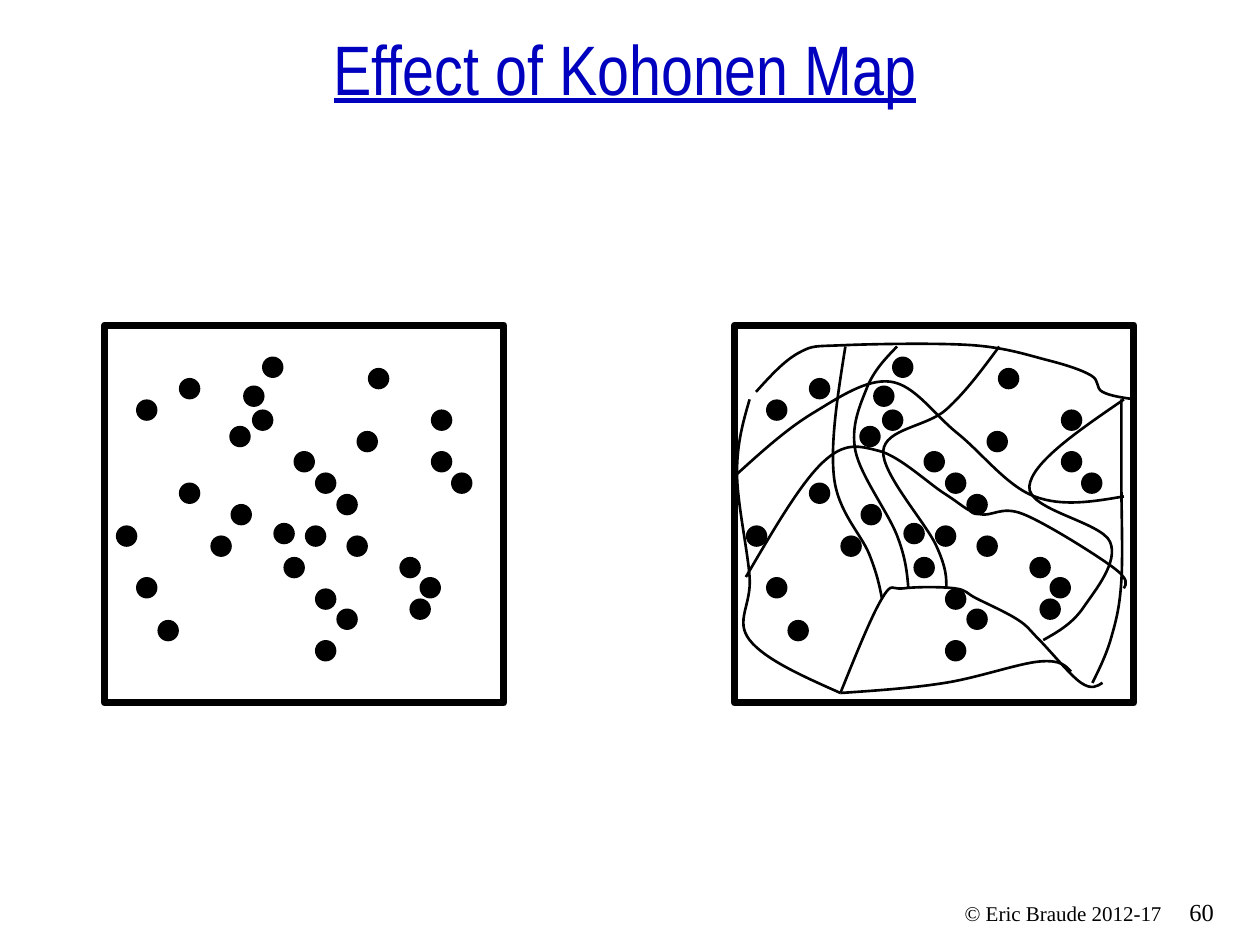
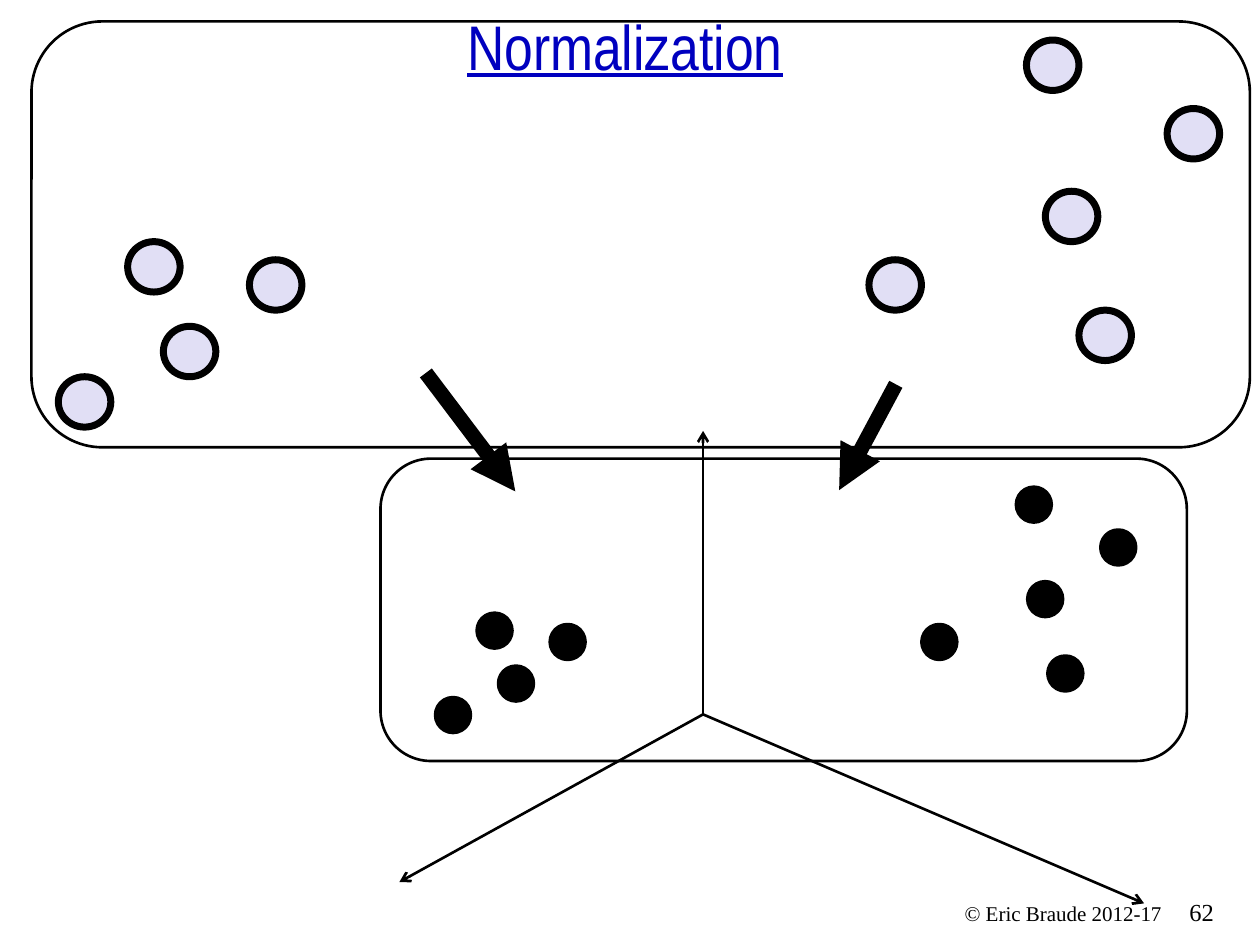
from typing import NamedTuple, Optional

from lxml.etree import SubElement
from pptx import Presentation
from pptx.dml.color import RGBColor
from pptx.enum.shapes import MSO_CONNECTOR, MSO_SHAPE
from pptx.enum.text import MSO_ANCHOR, MSO_AUTO_SIZE, PP_ALIGN
from pptx.oxml.ns import qn
from pptx.shapes.base import BaseShape
from pptx.shapes.shapetree import _BaseGroupShapes as Shapes
from pptx.slide import Slide
from pptx.util import Inches, Pt

BLACK, BLUE, LILAC = "000000", "0000BF", "E1DFF5"
THIN, FRAME, THICK = 1.5, 4, 8.5


class Point(NamedTuple):
    x: float
    y: float


class Box(NamedTuple):
    x: float
    y: float
    w: float
    h: float


class Style(NamedTuple):
    font: str
    size: float
    color: str = BLACK
    align: PP_ALIGN = PP_ALIGN.LEFT
    underline: bool = False


class Arrow(NamedTuple):
    start: Point
    end: Point
    width: float
    head: str


SERIF = "Times New Roman"
NUMBER = Style(SERIF, 14)
CREDIT = Style(SERIF, 12, align=PP_ALIGN.RIGHT)

# Slide 1: samples in the left frame, repeated in the right one
DOT = 0.17
SHIFT = 5
PLOT = Box(0.83, 2.58, 3.17, 3)
DOTS = [Point(*p) for p in (
    (1.08, 3.17), (1.42, 3), (1.42, 3.83), (1.08, 4.58), (1.83, 4),
    (3.42, 3.25), (2.17, 4.15), (2.25, 4.42), (2.5, 4.67), (2.67, 4.83),
    (1.93, 3.06), (2.33, 3.58), (2.67, 3.92), (3.17, 4.42), (2, 3.25),
    (2.5, 3.75), (3.58, 3.75), (3.33, 4.58), (1.82, 3.38), (2.42, 4.17),
    (2.75, 4.25), (3.25, 4.75), (0.92, 4.17), (1.25, 4.92), (1.67, 4.25),
    (2.5, 5.08), (2.08, 2.83), (2.83, 3.42), (2.92, 2.92), (3.42, 3.58),
)]

# Points that each map line passes through
FOOT = (6.67, 5.5)
CURVES = (
    ((8.92, 3.17), (8.17, 3.86), (8.81, 4.3), (8.6, 4.82), (8.28, 5.08)),
    (FOOT, (7, 4.75), (7.17, 4.67), (7.58, 4.67), (7.75, 4.75),
     (8.08, 4.92), (8.25, 5.08), (8.58, 5.42), (8.75, 5.42)),
    ((6, 3.11), (6.34, 2.8), (6.69, 2.74), (7.72, 2.74), (8.32, 2.86),
     (8.66, 2.98), (8.75, 3.11), (9.01, 3.17)),
    ((5.83, 3.78), (6.45, 3.28), (7.07, 3.03), (7.6, 3.44), (8.21, 3.94),
     (8.92, 3.94)),
    ((5.92, 4.58), (6.53, 3.67), (6.98, 3.58), (7.5, 3.92), (7.77, 4.08),
     (8.12, 4.08), (8.83, 4.5), (8.92, 4.67)),
    ((5.95, 3.17), (5.85, 3.75), (5.95, 4.58), (5.95, 5.08), FOOT),
    ((8.9, 3.17), (8.9, 3.8), (8.9, 4.61), (8.82, 5.06), (8.67, 5.42)),
    ((6.71, 2.75), (6.62, 3.79), (6.9, 4.4), (7, 4.75)),
    ((7.12, 2.75), (6.88, 3.08), (6.79, 3.58), (7.12, 4.25), (7.21, 4.67)),
    ((7.93, 2.75), (7.51, 3.25), (7.01, 3.58), (7.43, 4.33), (7.51, 4.67)),
    (FOOT, (7.5, 5.42), (8.25, 5.25), (8.5, 5.33)),
)

# Slide 2: normalized points, and the raw ones as their stretched copy
BALL = 0.25
BALLS = [Point(*p) for p in (
    (3.8, 4.88), (3.97, 5.3), (4.38, 4.97), (3.47, 5.55), (8.08, 3.88),
    (8.17, 4.63), (8.75, 4.22), (7.33, 4.97), (8.33, 5.22),
)]
SCALE = Point(5 / 3, 1.6)
OFFSET = Point(-5.32, -5.89)
ORIGIN = Point(5.58, 5.67)
AXES = [Arrow(ORIGIN, Point(*end), THIN, "arrow")
        for end in ((5.58, 3.42), (3.17, 7), (9.08, 7.17))]
MOVES = [
    Arrow(Point(3.38, 2.96), Point(4.09, 3.9), THICK, "triangle"),
    Arrow(Point(7.11, 3.05), Point(6.66, 3.89), THICK, "triangle"),
]
SPACES = (Box(0.25, 0.17, 9.67, 3.38), Box(3.02, 3.64, 6.4, 2.4))


def rgb(color: str) -> RGBColor:
    return RGBColor.from_string(color)


def paint(shape: BaseShape, fill: Optional[str], width: float) -> None:
    """Set the fill and a black outline; no fill or zero width hides it."""
    shape.shadow.inherit = False
    if fill:
        shape.fill.solid()
        shape.fill.fore_color.rgb = rgb(fill)
    else:
        shape.fill.background()
    if width:
        shape.line.color.rgb = rgb(BLACK)
        shape.line.width = Pt(width)
    else:
        shape.line.fill.background()


def draw(shapes: Shapes, kind: MSO_SHAPE, box: Box,
         fill: Optional[str] = None, width: float = 0) -> None:
    paint(shapes.add_shape(kind, *map(Inches, box)), fill, width)


def blend(a: Point, b: Point) -> Point:
    return Point((a.x + b.x) / 2, (a.y + b.y) / 2)


def smooth(knots: list[Point]) -> list[Point]:
    """Put two handles between knots, along the chord of the neighbours."""
    trail = []
    for a, b, c in zip(knots, knots[1:], knots[2:]):
        dx, dy = (c.x - a.x) / 6, (c.y - a.y) / 6
        trail += [Point(b.x - dx, b.y - dy), b, Point(b.x + dx, b.y + dy)]
    first, last = knots[0], knots[-1]
    return [first, blend(first, trail[0]), *trail,
            blend(trail[-1], last), last]


def curve(shapes: Shapes, knots: list[Point]) -> None:
    """Draw an open outline of cubic arcs."""
    first, *rest = [tuple(map(Inches, p)) for p in smooth(knots)]
    pen = shapes.build_freeform(*first)
    pen.add_line_segments(rest, close=False)
    shape = pen.convert_to_shape()
    paint(shape, None, THIN)
    trail = next(shape.element.iter(qn("a:path")))
    steps = trail.findall(qn("a:lnTo"))
    for i in range(0, len(steps), 3):
        arc = SubElement(trail, qn("a:cubicBezTo"))
        for step in steps[i:i + 3]:
            arc.append(step[0])
            trail.remove(step)


def link(shapes: Shapes, arrow: Arrow) -> None:
    line = shapes.add_connector(
        MSO_CONNECTOR.STRAIGHT, *map(Inches, arrow.start + arrow.end))
    line.line.color.rgb = rgb(BLACK)
    line.line.width = Pt(arrow.width)
    props = line.element.spPr
    SubElement(props.find(qn("a:ln")), qn("a:tailEnd"), type=arrow.head)
    SubElement(props, qn("a:effectLst"))


def write(slide: Slide, text: str, box: Box, style: Style,
          anchor: MSO_ANCHOR = MSO_ANCHOR.TOP,
          fit: MSO_AUTO_SIZE = MSO_AUTO_SIZE.SHAPE_TO_FIT_TEXT) -> None:
    frame = slide.shapes.add_textbox(*map(Inches, box)).text_frame
    frame.word_wrap = True
    frame.auto_size = fit
    frame.vertical_anchor = anchor
    para = frame.paragraphs[0]
    para.text = text
    para.alignment = style.align
    font = para.font
    font.name, font.size = style.font, Pt(style.size)
    font.underline = style.underline
    font.color.rgb = rgb(style.color)


def start(deck: Presentation, title: str, top: float, size: float,
          number: int) -> Slide:
    """Add a slide with its footer and title."""
    slide = deck.slides.add_slide(deck.slide_layouts[6])
    write(slide, str(number), Box(9.34, 7.07, 0.58, 0.33), NUMBER)
    write(slide, "© Eric Braude 2012-17", Box(6.65, 7.1, 2.67, 0.3), CREDIT)
    style = Style("Arial Narrow", size, BLUE, PP_ALIGN.CENTER, True)
    write(slide, title, Box(0, top, 9.92, 0.54), style,
          MSO_ANCHOR.BOTTOM, MSO_AUTO_SIZE.NONE)
    return slide


def effect(deck: Presentation) -> None:
    shapes = start(deck, "Effect of Kohonen Map", 0.38, 40, 60).shapes
    for knots in CURVES:
        curve(shapes, [Point(*p) for p in knots])
    for shift in (SHIFT, 0):
        for x, y in DOTS:
            draw(shapes, MSO_SHAPE.OVAL, Box(x + shift, y, DOT, DOT), BLACK)
        draw(shapes, MSO_SHAPE.RECTANGLE,
             PLOT._replace(x=PLOT.x + shift), width=FRAME)


def normal(deck: Presentation) -> None:
    shapes = start(deck, "Normalization", 0.17, 36, 62).shapes
    for axis in AXES:
        link(shapes, axis)
    for x, y in BALLS:
        draw(shapes, MSO_SHAPE.OVAL, Box(x, y, BALL, BALL), BLACK, FRAME)
    raw = shapes.add_group_shape().shapes
    for x, y in BALLS:
        box = Box(x * SCALE.x + OFFSET.x, y * SCALE.y + OFFSET.y,
                  BALL * SCALE.x, BALL * SCALE.y)
        draw(raw, MSO_SHAPE.OVAL, box, LILAC, FRAME)
    for move in MOVES:
        link(shapes, move)
    for space in SPACES:
        draw(shapes, MSO_SHAPE.ROUNDED_RECTANGLE, space, width=THIN)


def main() -> None:
    deck = Presentation()
    deck.slide_width, deck.slide_height = Inches(10), Inches(7.5)
    effect(deck)
    normal(deck)
    deck.save("out.pptx")


if __name__ == "__main__":
    main()
